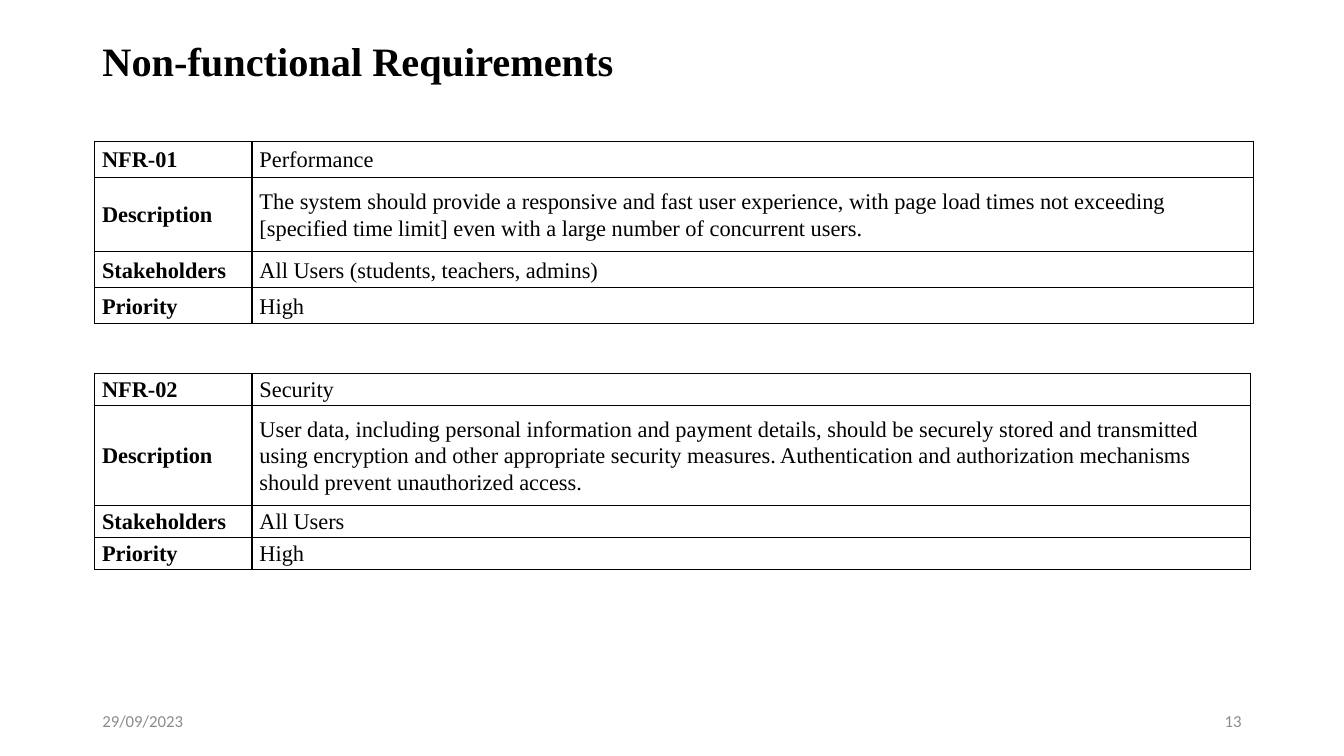
from lxml.etree import SubElement
from pptx import Presentation
from pptx.dml.color import RGBColor
from pptx.enum.text import MSO_ANCHOR as Anchor, MSO_AUTO_SIZE as AutoSize, PP_ALIGN as Align
from pptx.oxml.ns import qn
from pptx.util import Pt

COLORS = {"ink": "000000", "footer": "8C8C8C"}
SERIF = "Times New Roman"
SANS = "Calibri"
LABEL_WIDTH = 112.5

PERFORMANCE = [
    ("NFR-01", "Performance"),
    ("Description", "The system should provide a responsive and fast user experience, "
     "with page load times not exceeding [specified time limit] even with a large "
     "number of concurrent users."),
    ("Stakeholders", "All Users (students, teachers, admins)"),
    ("Priority", "High"),
]
SECURITY = [
    ("NFR-02", "Security"),
    ("Description", "User data, including personal information and payment details, "
     "should be securely stored and transmitted using encryption and other appropriate "
     "security measures. Authentication and authorization mechanisms should prevent "
     "unauthorized access."),
    ("Stakeholders", "All Users"),
    ("Priority", "High"),
]


def style_font(paragraph, name, size, color, bold=False):
    font = paragraph.font
    font.name, font.size, font.bold = name, Pt(size), bold
    font.color.rgb = RGBColor.from_string(COLORS[color])


def add_title(slide, text, left, top, width, height):
    title = slide.shapes.title
    title.left, title.top, title.width, title.height = map(Pt, (left, top, width, height))
    frame = title.text_frame
    frame.text = text
    frame.auto_size = AutoSize.NONE
    frame.vertical_anchor = Anchor.MIDDLE
    paragraph = frame.paragraphs[0]
    paragraph.alignment = Align.LEFT
    paragraph.line_spacing = 0.9
    style_font(paragraph, SERIF, 28.8, "ink", bold=True)


def add_footer(slide, text, alignment, left, top, width, height):
    shape = slide.shapes.add_textbox(*map(Pt, (left, top, width, height)))
    frame = shape.text_frame
    frame.word_wrap = True
    frame.vertical_anchor = Anchor.MIDDLE
    paragraph = frame.paragraphs[0]
    paragraph.text = text
    paragraph.alignment = alignment
    style_font(paragraph, SANS, 12, "footer")


def add_borders(cell):
    properties = cell._tc.get_or_add_tcPr()
    for side in ("lnL", "lnR", "lnT", "lnB"):
        line = SubElement(properties, qn(f"a:{side}"), w=str(Pt(1)))
        fill = SubElement(line, qn("a:solidFill"))
        SubElement(fill, qn("a:srgbClr"), val=COLORS["ink"])


def fill_cell(cell, text, bold):
    cell.margin_left = cell.margin_right = Pt(5.4)
    cell.margin_top = cell.margin_bottom = 0
    cell.vertical_anchor = Anchor.MIDDLE
    add_borders(cell)
    cell.fill.background()
    paragraph = cell.text_frame.paragraphs[0]
    paragraph.text = text
    paragraph.line_spacing = 1.07
    paragraph.space_after = Pt(8)
    style_font(paragraph, SERIF, 16, "ink", bold)


def add_requirement(slide, entries, left, top, width, row_height, description_height):
    heights = [row_height, description_height, row_height, row_height]
    frame = slide.shapes.add_table(len(entries), 2, Pt(left), Pt(top), Pt(width), Pt(sum(heights)))
    table = frame.table
    table.first_row = table.horz_banding = False
    table.columns[0].width = Pt(LABEL_WIDTH)
    table.columns[1].width = Pt(width - LABEL_WIDTH)
    for row, height, entry in zip(table.rows, heights, entries):
        row.height = Pt(height)
        for column, text in enumerate(entry):
            fill_cell(row.cells[column], text, bold=column == 0)


def main():
    presentation = Presentation()
    presentation.slide_width, presentation.slide_height = Pt(960), Pt(540)
    slide = presentation.slides.add_slide(presentation.slide_layouts[5])

    # Title
    add_title(slide, "Non-functional Requirements", 66, 25, 828, 40)

    # Requirement tables
    add_requirement(slide, PERFORMANCE, 67.5, 101, 828, 25.7, 53.2)
    add_requirement(slide, SECURITY, 67.5, 266.8, 826, 22.9, 71.2)

    # Date and page number
    add_footer(slide, "29/09/2023", Align.LEFT, 66, 500.5, 216, 28.8)
    add_footer(slide, "13", Align.RIGHT, 678, 500.5, 216, 28.8)

    presentation.save("out.pptx")


if __name__ == "__main__":
    main()
